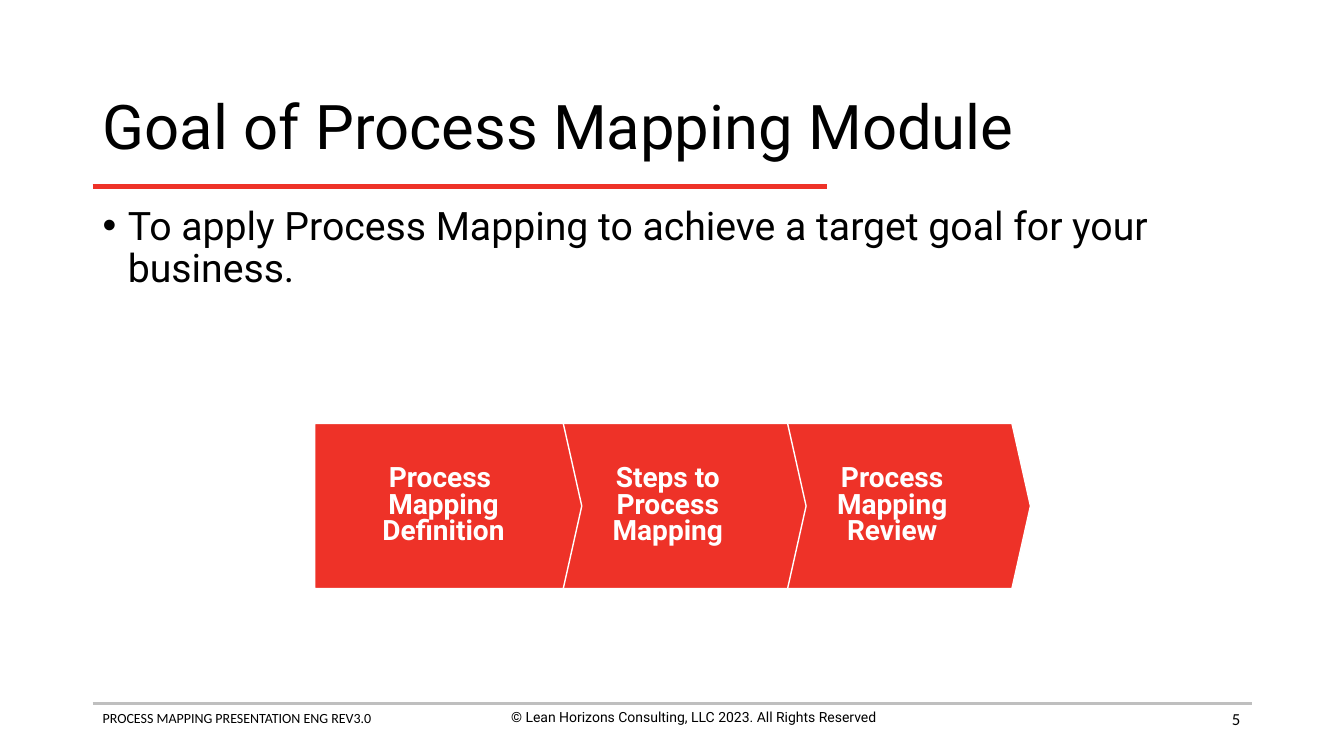
"""Build the Process Mapping goal slide."""
from dataclasses import dataclass

from lxml import etree
from pptx import Presentation
from pptx.dml.color import RGBColor
from pptx.enum.shapes import MSO_CONNECTOR, MSO_SHAPE
from pptx.enum.text import MSO_ANCHOR, PP_ALIGN
from pptx.oxml.ns import qn
from pptx.util import Pt

LEFT, MID, RIGHT = PP_ALIGN.LEFT, PP_ALIGN.CENTER, PP_ALIGN.RIGHT
TOP, CENTER = MSO_ANCHOR.TOP, MSO_ANCHOR.MIDDLE
PLATE, LINE = MSO_SHAPE.PENTAGON, MSO_CONNECTOR.STRAIGHT


@dataclass(frozen=True)
class Theme:
    red: str = "EE3228"
    gray: str = "BFBFBF"
    black: str = "000000"
    white: str = "FFFFFF"
    main: str = "Roboto"
    alt: str = "Calibri"
    title: int = 44
    body: int = 28
    step: int = 20
    page: int = 12
    foot: int = 10


T = Theme()
SCALE = 9144
SIZE = (1333, 750)

TEXTS = [
    ("PROCESS MAPPING PRESENTATION ENG REV3.0",
     (92, 699, 456, 44), T.alt, T.foot, LEFT, TOP, 1, False),
    ("© Lean Horizons Consulting, LLC 2023. All Rights Reserved",
     (460, 698, 456, 44), T.main, T.foot, MID, TOP, 1, False),
    ("Goal of Process Mapping Module",
     (92, 74, 1150, 110), T.main, T.title, LEFT, CENTER, 0.9, False),
    ("To apply Process Mapping to achieve a target goal for your business.",
     (92, 200, 1150, 476), T.main, T.body, LEFT, TOP, 0.9, True),
    ("5", (940, 693, 300, 40), T.alt, T.page, RIGHT, CENTER, 1, False),
]
RULES = [(92, 1242, 698, T.gray, 2), (92, 820, 185, T.red, 3)]
STEPS = [
    "Process \nMapping\nDefinition",
    "Steps to\nProcess\nMapping",
    "Process\nMapping\nReview",
]
FIRST = (312, 420, 265, 164)
PITCH = 222.5
INDENT = 25
POINT = 0.112


def px(n):
    return round(n * SCALE)


def color(code):
    return RGBColor.from_string(code)


def bullet(para):
    props = para._p.get_or_add_pPr()
    props.set("marL", str(px(INDENT)))
    props.set("indent", str(px(-INDENT)))
    font = etree.SubElement(props, qn("a:buFont"))
    font.set("typeface", "Arial")
    mark = etree.SubElement(props, qn("a:buChar"))
    mark.set("char", "•")


def write(frame, text, face, size, ink, align, anchor, gap, bold=False, dot=False):
    frame.vertical_anchor = anchor
    para = frame.paragraphs[0]
    para.text = text
    para.alignment = align
    para.line_spacing = gap
    if dot:
        bullet(para)
    font = para.font
    font.name, font.size, font.bold = face, Pt(size), bold
    font.color.rgb = color(ink)


def rule(slide, x1, x2, y, ink, width):
    line = slide.shapes.add_connector(LINE, px(x1), px(y), px(x2), px(y))
    line.line.color.rgb = color(ink)
    line.line.width = Pt(width)
    etree.SubElement(line._element.spPr, qn("a:effectLst"))


def label(slide, text, box, face, size, align, anchor, gap, dot):
    frame = slide.shapes.add_textbox(*map(px, box)).text_frame
    frame.word_wrap = True
    write(frame, text, face, size, T.black, align, anchor, gap, dot=dot)


def step(slide, index, text):
    x, y, w, h = FIRST
    box = (x + index * PITCH, y, w, h)
    plate = slide.shapes.add_shape(PLATE, *map(px, box))
    plate.adjustments[0] = POINT
    plate.shadow.inherit = False
    plate.fill.solid()
    plate.fill.fore_color.rgb = color(T.red)
    plate.line.color.rgb = color(T.white)
    plate.line.width = Pt(1)
    plate.text_frame.word_wrap = False
    write(plate.text_frame, text, T.main, T.step, T.white, MID, CENTER, 0.8, bold=True)


def main():
    deck = Presentation()
    deck.slide_width, deck.slide_height = map(px, SIZE)
    slide = deck.slides.add_slide(deck.slide_layouts[6])
    for item in RULES:
        rule(slide, *item)
    for item in TEXTS:
        label(slide, *item)
    for index, text in reversed(list(enumerate(STEPS))):
        step(slide, index, text)
    deck.save("out.pptx")


if __name__ == "__main__":
    main()
